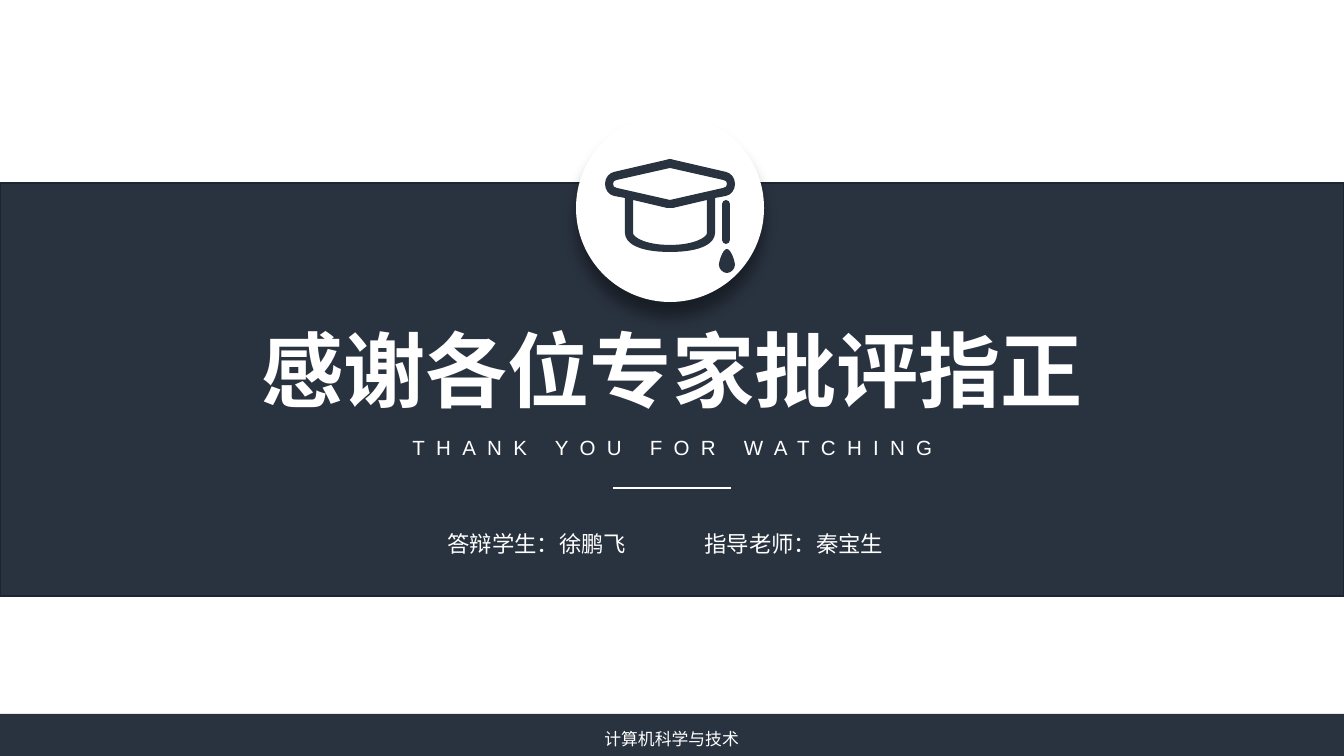
from lxml import etree
from pptx import Presentation
from pptx.dml.color import RGBColor
from pptx.enum.shapes import MSO_CONNECTOR, MSO_SHAPE
from pptx.enum.text import MSO_AUTO_SIZE, PP_ALIGN
from pptx.oxml.ns import qn
from pptx.util import Pt

PX = 914400 / 134.4
NAVY = RGBColor(0x29, 0x32, 0x3F)
EDGE = RGBColor(0x1E, 0x25, 0x2F)
WHITE = RGBColor(0xFF, 0xFF, 0xFF)
CJK = "Noto Sans CJK SC"
RECT = MSO_SHAPE.RECTANGLE
OVAL = MSO_SHAPE.OVAL
STRAIGHT = MSO_CONNECTOR.STRAIGHT
CENTER = PP_ALIGN.CENTER
GROW = MSO_AUTO_SIZE.SHAPE_TO_FIT_TEXT

prs = Presentation()
prs.slide_width = round(1344 * PX)
prs.slide_height = round(756 * PX)
s = prs.slides.add_slide(prs.slide_layouts[6])


def add_text(text, box, size, font=CJK, bold=False, spacing=0, wrap=True):
    tb = s.shapes.add_textbox(*[round(v * PX) for v in box])
    tf = tb.text_frame
    tf.word_wrap = wrap
    tf.auto_size = GROW
    p = tf.paragraphs[0]
    p.alignment = CENTER
    r = p.add_run()
    r.text = text
    r.font.size = Pt(size)
    r.font.bold = bold
    r.font.color.rgb = WHITE
    r.font.name = font
    rPr = r.font._element
    if spacing:
        rPr.set("spc", str(spacing * 100))
    etree.SubElement(rPr, qn("a:ea"), typeface=CJK)


def add_solid(kind, box, fill):
    sp = s.shapes.add_shape(kind, *[round(v * PX) for v in box])
    sp.shadow.inherit = False
    sp.fill.solid()
    sp.fill.fore_color.rgb = fill
    sp.line.fill.background()
    return sp


add_solid(RECT, (0, 714, 1344, 42), NAVY)
band = add_solid(RECT, (0, 183, 1344, 413), NAVY)
band.line.color.rgb = EDGE
band.line.width = Pt(1)

add_text("感谢各位专家批评指正", (244, 313, 857, 113), 44, bold=True, wrap=False)
add_text("THANK YOU FOR WATCHING", (160, 428, 1025, 39), 11, font="Arial", spacing=6)
for i, text in enumerate(["答辩学生：徐鹏飞", "指导老师：秦宝生"]):
    add_text(text, (416 + 257 * i, 524, 242, 40), 12, font="Calibri")
add_text("计算机科学与技术", (590, 722, 163, 33), 9, wrap=False)

badge = add_solid(OVAL, (576, 114, 188, 188), WHITE)
effects = badge._element.spPr.find(qn("a:effectLst"))
shadow = etree.SubElement(effects, qn("a:outerShdw"), blurRad=str(Pt(8)), dist=str(Pt(8)),
                          dir="5400000", algn="t", rotWithShape="0")
black = etree.SubElement(shadow, qn("a:srgbClr"), val="000000")
etree.SubElement(black, qn("a:alpha"), val="40000")

cap_holes_and_rim = [
    [[(670, 168)], [(723, 180)],
     [(726, 180), (727, 182), (727, 184)],
     [(727, 186), (726, 188), (723, 188)], [(670, 200)]],
    [[(670, 208)], [(671, 208), (672, 208), (673, 208)], [(707, 200)], [(707, 233)],
     [(707, 237), (695, 245), (670, 245)]],
    [[(670, 159)], [(672, 159), (673, 160), (674, 160)], [(726, 172)],
     [(731, 173), (735, 178), (735, 184)],
     [(735, 190), (731, 195), (726, 196)], [(715, 198)], [(715, 233)],
     [(715, 243), (702, 252), (670, 252)]],
]
tassel = [[[(726, 200)], [(728, 200), (730, 202), (730, 204)], [(730, 240)],
           [(730, 242), (728, 244), (726, 244)]]]
drop = [[[(727, 249)], [(731, 249), (735, 261), (735, 265)],
         [(735, 269), (731, 273), (727, 273)]]]

icon = s.shapes.add_group_shape()
for axis, halves in [(670, cap_holes_and_rim), (726, tassel), (727, drop)]:
    fb = None
    segments = []
    for half in halves:
        contour = half[1:]
        for before, seg in reversed(list(zip(half, half[1:]))):
            back = seg[-2::-1] if len(seg) > 1 else []
            contour = contour + [[(2 * axis - x, y) for x, y in back + before[-1:]]]
        start = [round(v * PX) for v in half[0][0]]
        if fb is None:
            fb = icon.shapes.build_freeform(*start)
        else:
            fb.move_to(*start)
        fb.add_line_segments([(x * PX, y * PX) for seg in contour for x, y in seg], close=True)
        segments += contour
    sp = fb.convert_to_shape()
    sp.shadow.inherit = False
    sp.fill.solid()
    sp.fill.fore_color.rgb = NAVY
    sp.line.fill.background()
    nodes = iter(list(sp._element.iter(qn("a:lnTo"))))
    for seg in segments:
        first, *rest = [next(nodes) for point in seg]
        if rest:
            first.tag = qn("a:cubicBezTo")
            for node in rest:
                first.append(node[0])
                node.getparent().remove(node)

rule = s.shapes.add_connector(STRAIGHT, *[round(v * PX) for v in (613, 488, 731, 488)])
rule.line.color.rgb = WHITE
rule.line.width = Pt(1.5)
etree.SubElement(rule._element.spPr, qn("a:effectLst"))

prs.save("out.pptx")
